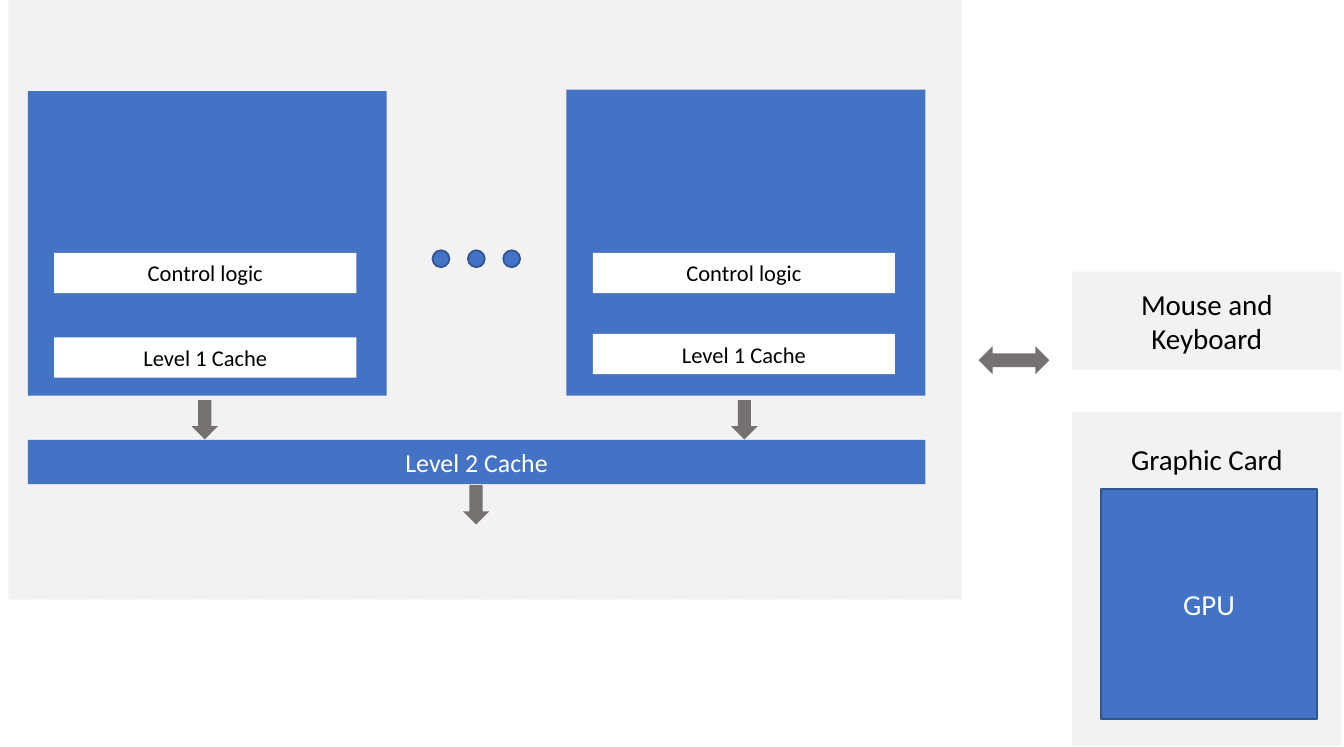
from lxml.etree import SubElement
from pptx import Presentation
from pptx.dml.color import RGBColor
from pptx.enum.dml import MSO_LINE
from pptx.enum.shapes import MSO_SHAPE
from pptx.enum.text import MSO_ANCHOR, PP_ALIGN
from pptx.oxml.ns import qn
from pptx.util import Cm, Pt

COLORS = {"panel": "F2F2F2", "blue": "4472C4", "edge": "325491",
          "arrow": "767171", "white": "FFFFFF", "black": "000000"}

prs = Presentation()
prs.slide_width, prs.slide_height = Cm(27), Cm(15.01)
s = prs.slides.add_slide(prs.slide_layouts[6])


def add_block(kind, x, y, w, h, fill, edge=None):
    """Add a filled preset shape, outlined only when an edge colour is given."""
    sp = s.shapes.add_shape(kind, Cm(x), Cm(y), Cm(w), Cm(h))
    sp.shadow.inherit = False
    sp.fill.solid()
    sp.fill.fore_color.rgb = RGBColor.from_string(COLORS[fill])
    if edge:
        sp.line.color.rgb = RGBColor.from_string(COLORS[edge])
        sp.line.width = Pt(1)
    else:
        sp.line.fill.background()
    return sp


def add_label(sp, text, size, color="black"):
    """Write centred text into a shape."""
    tf = sp.text_frame
    tf.text = text
    tf.word_wrap = True
    tf.vertical_anchor = MSO_ANCHOR.MIDDLE
    tf.margin_top = tf.margin_bottom = 0
    p = tf.paragraphs[0]
    p.alignment = PP_ALIGN.CENTER
    for r in p.runs:
        r.font.name = "Calibri"
        r.font.size = Pt(size)
        r.font.color.rgb = RGBColor.from_string(COLORS[color])


# Processor panel and shared cache
processor = add_block(MSO_SHAPE.RECTANGLE, 0.18, -0.25, 19.13, 12.29, "panel", "panel")
processor.line.dash_style = MSO_LINE.SQUARE_DOT
edge_color = processor.line._ln.find(".//" + qn("a:srgbClr"))
SubElement(edge_color, qn("a:alpha")).set("val", "61000")

level_2 = add_block(MSO_SHAPE.RECTANGLE, 0.56, 8.84, 18.03, 0.89, "blue")
add_label(level_2, "Level 2 Cache", 14.7, "white")

# Two cores with dots between them
for core_x, core_y, cache_y in ((0.56, 1.83, 6.78), (11.38, 1.8, 6.71)):
    add_block(MSO_SHAPE.RECTANGLE, core_x, core_y, 7.21, 7.95 - core_y, "blue")
    for text, y in (("Control logic", 5.08), ("Level 1 Cache", cache_y)):
        unit = add_block(MSO_SHAPE.RECTANGLE, core_x + 0.53, y, 6.07, 0.81, "white")
        add_label(unit, text, 12.8)

for i in range(3):
    add_block(MSO_SHAPE.OVAL, 8.69 + 0.71 * i, 5.03, 0.34, 0.34, "blue", "edge")

# Peripherals
mouse = add_block(MSO_SHAPE.RECTANGLE, 21.54, 5.46, 5.41, 1.98, "panel")
add_label(mouse, "Mouse and\vKeyboard", 16.5)

card = add_block(MSO_SHAPE.RECTANGLE, 21.54, 8.28, 5.41, 6.71, "panel")
add_label(card, "Graphic Card", 16.5)
card.text_frame.vertical_anchor = MSO_ANCHOR.TOP
card.text_frame.margin_top = Cm(0.6)

gpu = add_block(MSO_SHAPE.RECTANGLE, 22.12, 9.83, 4.34, 4.62, "blue", "edge")
add_label(gpu, "GPU", 16.5, "white")

# Data flow arrows
add_block(MSO_SHAPE.LEFT_RIGHT_ARROW, 19.66, 6.96, 1.42, 0.56, "arrow")
for x, y in ((3.85, 8.04), (14.69, 8.04), (9.3, 9.75)):
    add_block(MSO_SHAPE.DOWN_ARROW, x, y, 0.53, 0.79, "arrow")

prs.save("out.pptx")
